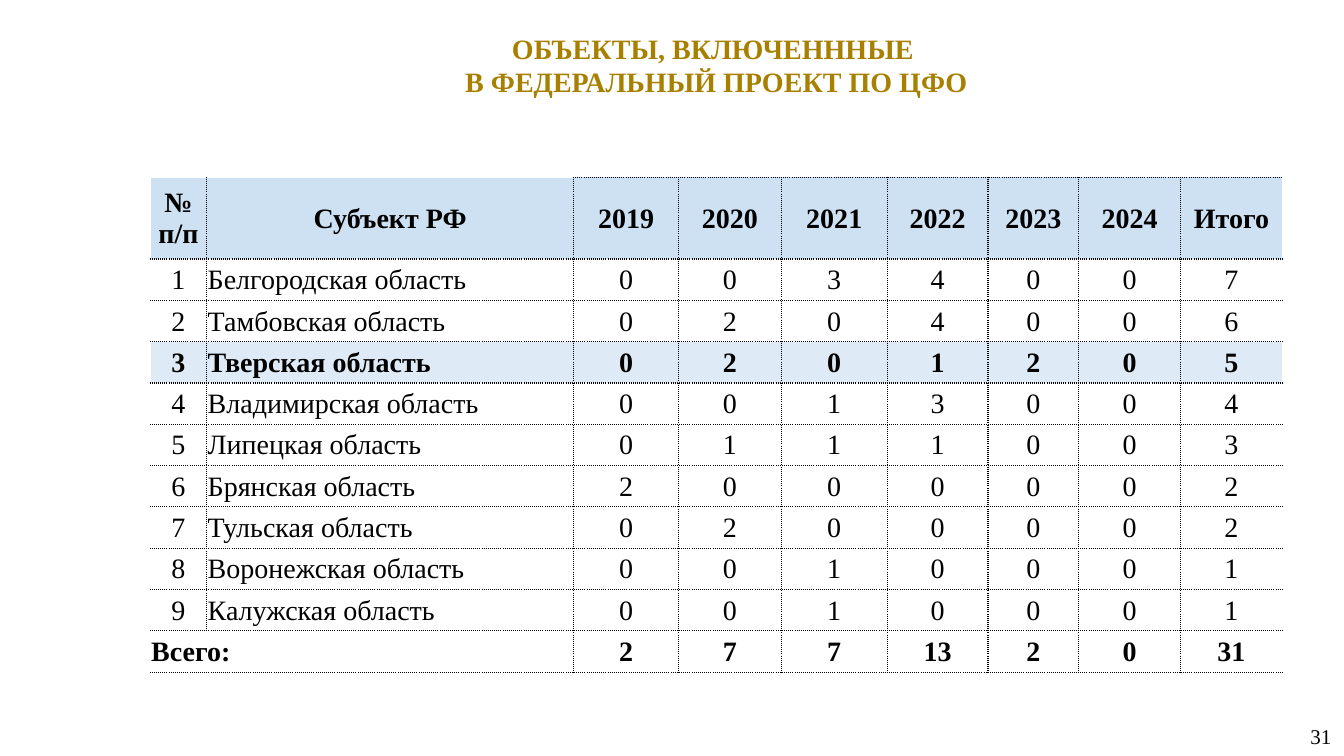
from dataclasses import dataclass

from lxml.etree import SubElement
from pptx import Presentation
from pptx.dml.color import RGBColor as Rgb
from pptx.enum.text import MSO_ANCHOR as Anchor, MSO_AUTO_SIZE as AutoSize, PP_ALIGN as Align
from pptx.oxml.ns import qn
from pptx.util import Inches, Pt


@dataclass(frozen=True)
class Theme:
    font: str = "Times New Roman"
    gold: str = "A88000"
    black: str = "000000"
    white: str = "FFFFFF"
    header: str = "CEE1F2"
    highlight: str = "DEEBF7"
    main_size: int = 20
    number_size: int = 15
    border: int = 1


THEME = Theme()
YEARS = ["2019", "2020", "2021", "2022", "2023", "2024"]
REGIONS = [
    ("Белгородская область", [0, 0, 3, 4, 0, 0]),
    ("Тамбовская область", [0, 2, 0, 4, 0, 0]),
    ("Тверская область", [0, 2, 0, 1, 2, 0]),
    ("Владимирская область", [0, 0, 1, 3, 0, 0]),
    ("Липецкая область", [0, 1, 1, 1, 0, 0]),
    ("Брянская область", [2, 0, 0, 0, 0, 0]),
    ("Тульская область", [0, 2, 0, 0, 0, 0]),
    ("Воронежская область", [0, 0, 1, 0, 0, 0]),
    ("Калужская область", [0, 0, 1, 0, 0, 0]),
]
HIGHLIGHTED = "Тверская область"
COLUMN_WIDTHS = [0.56, 3.64, 1.04, 1.02, 1.05, 1, 0.9, 1.01, 1.01]
HEADER_HEIGHT, ROW_HEIGHT = 0.81, 0.41


def style(paragraph, align, size, color=THEME.black, bold=False):
    paragraph.alignment = align
    font = paragraph.font
    font.name, font.size, font.bold = THEME.font, Pt(size), bold
    font.color.rgb = Rgb.from_string(color)


def place(shape, box):
    shape.left, shape.top, shape.width, shape.height = map(Inches, box)


def add_title(slide, box):
    title = slide.shapes.title
    place(title, box)
    frame = title.text_frame
    frame.text = "ОБЪЕКТЫ, ВКЛЮЧЕНННЫЕ \vВ ФЕДЕРАЛЬНЫЙ ПРОЕКТ ПО ЦФО"
    frame.word_wrap = True
    frame.auto_size = AutoSize.SHAPE_TO_FIT_TEXT
    frame.vertical_anchor = Anchor.TOP
    style(frame.paragraphs[0], Align.CENTER, THEME.main_size, THEME.gold, True)


def add_border(cell, side, color, dash):
    line = SubElement(cell._tc.get_or_add_tcPr(), qn(f"a:ln{side}"), w=str(Pt(THEME.border)))
    fill = SubElement(line, qn("a:solidFill"))
    SubElement(fill, qn("a:srgbClr"), val=color)
    SubElement(line, qn("a:prstDash"), val=dash)


def format_cell(cell, text, align, bold, fill, white_sides):
    cell.text = text
    cell.vertical_anchor = Anchor.MIDDLE
    cell.margin_left = cell.margin_right = cell.margin_top = Inches(0.01)
    cell.margin_bottom = 0
    style(cell.text_frame.paragraphs[0], align, THEME.main_size, bold=bold)
    for side in "LRTB":
        if side in white_sides:
            add_border(cell, side, THEME.white, "solid")
        else:
            add_border(cell, side, THEME.black, "sysDot")
    if fill:
        cell.fill.solid()
        cell.fill.fore_color.rgb = Rgb.from_string(fill)
    else:
        cell.fill.background()


def region_rows():
    rows = [(["№ п/п", "Субъект РФ", *YEARS, "Итого"], True, THEME.header)]
    for number, (region, counts) in enumerate(REGIONS, 1):
        chosen = region == HIGHLIGHTED
        fill = THEME.highlight if chosen else THEME.white
        rows.append(([number, region, *counts, sum(counts)], chosen, fill))
    totals = [sum(year) for year in zip(*(counts for _, counts in REGIONS))]
    rows.append((["Всего:", "", *totals, sum(totals)], True, None))
    return rows


def add_region_table(slide, box):
    rows = region_rows()
    last_row, last_column = len(rows) - 1, len(COLUMN_WIDTHS) - 1
    table = slide.shapes.add_table(len(rows), len(COLUMN_WIDTHS), *map(Inches, box)).table
    table.first_row = table.horz_banding = False
    for column, width in zip(table.columns, COLUMN_WIDTHS):
        column.width = Inches(width)
    for r, (values, bold, fill) in enumerate(rows):
        table.rows[r].height = Inches(ROW_HEIGHT if r else HEADER_HEIGHT)
        for c, value in enumerate(values):
            is_name = r > 0 and c == 1 or r == last_row and c == 0
            white_sides = {0: "L", last_column: "R"}.get(c, "")
            if r == 0 and c < 2:
                white_sides += "T"
            align = Align.LEFT if is_name else Align.CENTER
            format_cell(table.cell(r, c), str(value), align, bold, fill, white_sides)
    table.cell(last_row, 0).merge(table.cell(last_row, 1))


def add_page_number(slide, box):
    frame = slide.shapes.add_textbox(*map(Inches, box)).text_frame
    frame.text = "31"
    frame.word_wrap = True
    frame.vertical_anchor = Anchor.MIDDLE
    style(frame.paragraphs[0], Align.CENTER, THEME.number_size)


def main():
    deck = Presentation()
    deck.slide_width, deck.slide_height = Inches(13.33), Inches(7.5)
    slide = deck.slides.add_slide(deck.slide_layouts[5])
    add_title(slide, (1.29, 0.26, 11.63, 0.77))
    add_region_table(slide, (1.49, 1.76, 11.22, 4.89))
    add_page_number(slide, (12.86, 7.1, 0.48, 0.4))
    deck.save("out.pptx")


if __name__ == "__main__":
    main()
